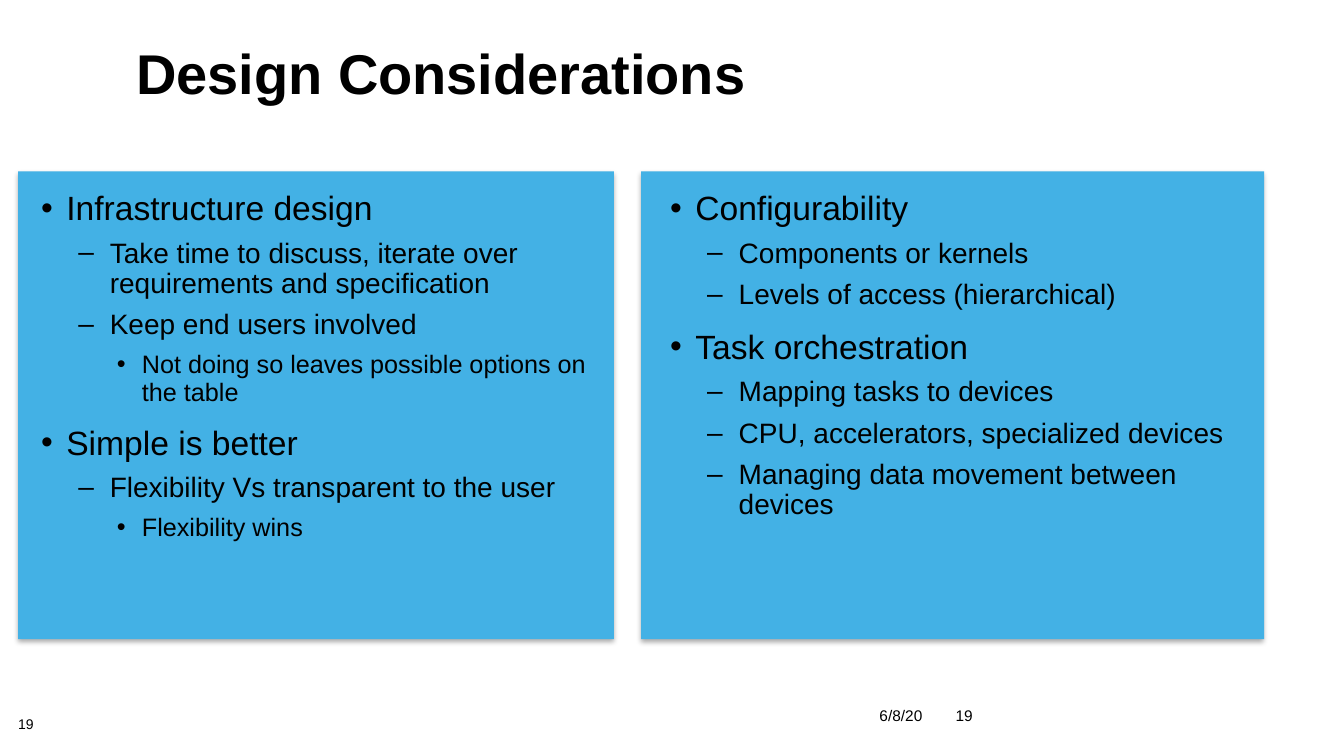
from lxml import etree
from pptx import Presentation
from pptx.dml.color import RGBColor
from pptx.enum.shapes import MSO_SHAPE
from pptx.enum.text import MSO_ANCHOR, MSO_AUTO_SIZE, PP_ALIGN
from pptx.oxml.ns import qn
from pptx.util import Pt

RECTANGLE = MSO_SHAPE.RECTANGLE
TOP, MIDDLE = MSO_ANCHOR.TOP, MSO_ANCHOR.MIDDLE
LEFT, RIGHT = PP_ALIGN.LEFT, PP_ALIGN.RIGHT
NO_AUTOFIT = MSO_AUTO_SIZE.NONE
BLACK = RGBColor(0, 0, 0)
PANEL_BLUE = RGBColor(0x43, 0xB1, 0xE5)
FONT = "Arial"

TITLE = "Design Considerations"
TITLE_BOX = (90, 31, 612, 53.3)
PANEL_TOP, PANEL_HEIGHT = 122.4, 334.1
TEXT_TOP, TEXT_HEIGHT = 133.2, 323.3
COLUMNS = [
    {
        "panel": (13, 425.5),
        "text": (22.3, 416.2),
        "items": [
            (0, "Infrastructure design"),
            (1, "Take time to discuss, iterate over requirements and specification"),
            (1, "Keep end users involved"),
            (2, "Not doing so leaves possible options on the table"),
            (0, "Simple is better"),
            (1, "Flexibility Vs transparent to the user"),
            (2, "Flexibility wins"),
        ],
    },
    {
        "panel": (457.9, 445),
        "text": (471.6, 417.6),
        "items": [
            (0, "Configurability"),
            (1, "Components or kernels"),
            (1, "Levels of access (hierarchical)"),
            (0, "Task orchestration"),
            (1, "Mapping tasks to devices"),
            (1, "CPU, accelerators, specialized devices"),
            (1, "Managing data movement between devices"),
        ],
    },
]
LEVELS = [
    {"size": 24, "before": 14, "margin": 18, "hanging": 18, "bullet": "•"},
    {"size": 20, "before": 8, "margin": 49, "hanging": 22.5, "bullet": "–"},
    {"size": 18, "before": 8, "margin": 72, "hanging": 18, "bullet": "•"},
]
FOOTERS = [
    {"text": "19", "box": (13, 512.6, 40.3, 11.5), "size": 10,
     "inset": (0, 0), "anchor": TOP, "align": LEFT, "spacing": 0.9},
    {"text": "6/8/20", "box": (540, 500.4, 126, 21.6), "size": 11,
     "inset": (7.2, 3.6), "anchor": MIDDLE, "align": RIGHT, "spacing": 1},
    {"text": "19", "box": (666, 500.4, 36, 21.6), "size": 11,
     "inset": (7.2, 3.6), "anchor": MIDDLE, "align": RIGHT, "spacing": 1},
]


def points(box):
    return [Pt(value) for value in box]


def set_attributes(target, values):
    for name, value in values.items():
        setattr(target, name, value)


def format_frame(frame, inset=(7.2, 3.6), anchor=TOP):
    side, edge = points(inset)
    set_attributes(frame, {
        "word_wrap": True, "auto_size": NO_AUTOFIT, "vertical_anchor": anchor,
        "margin_left": side, "margin_right": side,
        "margin_top": edge, "margin_bottom": edge,
    })


def format_paragraph(paragraph, text, size, bold=False, **layout):
    paragraph.text = text
    set_attributes(paragraph, layout)
    set_attributes(paragraph.font, {"name": FONT, "size": Pt(size), "bold": bold})
    paragraph.font.color.rgb = BLACK


def add_bullet(paragraph, level):
    properties = paragraph._p.get_or_add_pPr()
    properties.set("marL", str(Pt(level["margin"])))
    properties.set("indent", str(-Pt(level["hanging"])))
    color = etree.SubElement(properties, qn("a:buClr"))
    etree.SubElement(color, qn("a:srgbClr"), val=str(BLACK))
    etree.SubElement(properties, qn("a:buFont"), typeface=FONT)
    etree.SubElement(properties, qn("a:buChar"), char=level["bullet"])


def add_panel(slide, left, width):
    panel = slide.shapes.add_shape(
        RECTANGLE, *points((left, PANEL_TOP, width, PANEL_HEIGHT)))
    panel.fill.solid()
    panel.fill.fore_color.rgb = PANEL_BLUE
    panel.line.fill.background()
    panel.shadow.inherit = False
    effects = panel._element.spPr.find(qn("a:effectLst"))
    shadow = etree.SubElement(
        effects, qn("a:outerShdw"), blurRad=str(Pt(3.5)), dist=str(Pt(2.2)),
        dir="5400000", rotWithShape="0")
    color = etree.SubElement(shadow, qn("a:srgbClr"), val=str(BLACK))
    etree.SubElement(color, qn("a:alpha"), val="32000")


def add_bullet_text(slide, left, width, items):
    box = slide.shapes.add_textbox(*points((left, TEXT_TOP, width, TEXT_HEIGHT)))
    frame = box.text_frame
    format_frame(frame)
    for index, (depth, text) in enumerate(items):
        paragraph = frame.add_paragraph() if index else frame.paragraphs[0]
        level = LEVELS[depth]
        add_bullet(paragraph, level)
        format_paragraph(paragraph, text, level["size"], level=depth,
                         line_spacing=0.9,
                         space_before=Pt(level["before"] if index else 0))


def add_footer(slide, footer):
    frame = slide.shapes.add_textbox(*points(footer["box"])).text_frame
    format_frame(frame, footer["inset"], footer["anchor"])
    format_paragraph(frame.paragraphs[0], footer["text"], footer["size"],
                     alignment=footer["align"], line_spacing=footer["spacing"])


def main():
    presentation = Presentation()
    presentation.slide_width, presentation.slide_height = Pt(960), Pt(540)
    slide = presentation.slides.add_slide(presentation.slide_layouts[5])

    title = slide.shapes.title
    set_attributes(title, dict(zip(("left", "top", "width", "height"), points(TITLE_BOX))))
    format_frame(title.text_frame)
    format_paragraph(title.text_frame.paragraphs[0], TITLE, 40, bold=True,
                     alignment=LEFT, line_spacing=0.85)

    for column in COLUMNS:
        add_panel(slide, *column["panel"])
        add_bullet_text(slide, *column["text"], column["items"])
    for footer in FOOTERS:
        add_footer(slide, footer)

    presentation.save("out.pptx")


if __name__ == "__main__":
    main()
